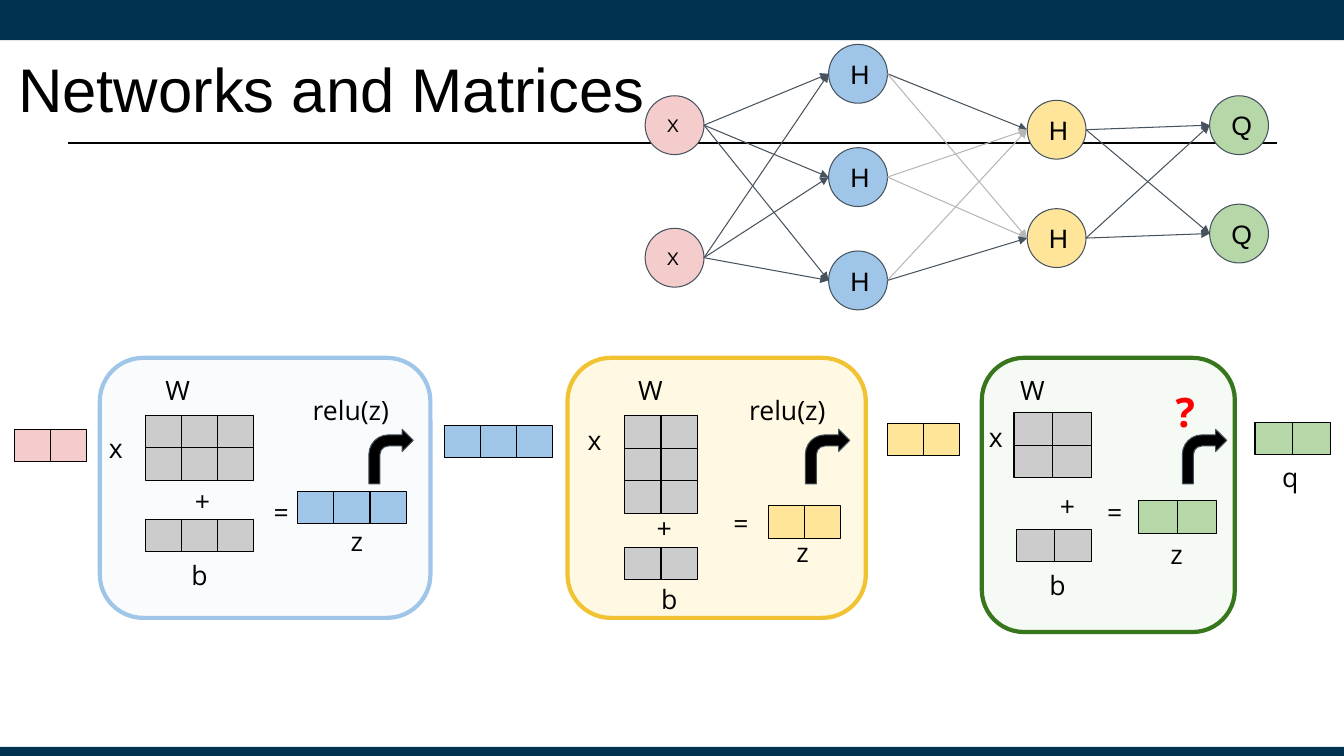
from itertools import product

from lxml import etree
from pptx import Presentation
from pptx import util as u
from pptx.dml.color import RGBColor
from pptx.enum import shapes, text
from pptx.oxml.ns import qn

NAVY = RGBColor(0x00, 0x32, 0x52)
BLACK = RGBColor(0x00, 0x00, 0x00)
RED = RGBColor(0xFF, 0x00, 0x00)
SLATE = RGBColor(0x46, 0x53, 0x5E)
SILVER = RGBColor(0xB7, 0xB7, 0xB7)
GRAY = RGBColor(0xCC, 0xCC, 0xCC)
PINK = RGBColor(0xF4, 0xCC, 0xCC)
BLUE = RGBColor(0x9F, 0xC5, 0xE8)
PALE_BLUE = RGBColor(0xCF, 0xE2, 0xF3)
YELLOW = RGBColor(0xFF, 0xE5, 0x99)
AMBER = RGBColor(0xFF, 0xD9, 0x66)
GOLD = RGBColor(0xF1, 0xC2, 0x32)
GREEN = RGBColor(0xB6, 0xD7, 0xA8)
DARK_GREEN = RGBColor(0x38, 0x76, 0x1D)

COLUMNS, ROWS = 133.33, 75
GRID = u.Inches(0.1)
NODE = 5.84
CELL_WIDTH, CELL_HEIGHT = 3.58, 3.23
INSET = 0.13


def write_text(frame, content, *, size=19, font="Open Sans", color=BLACK, bold=False,
               align=text.PP_ALIGN.LEFT, anchor=text.MSO_ANCHOR.TOP, inset=(INSET, INSET)):
    frame.word_wrap = True
    frame.auto_size = text.MSO_AUTO_SIZE.NONE
    frame.vertical_anchor = anchor
    frame.margin_left = frame.margin_right = u.Inches(inset[0])
    frame.margin_top = frame.margin_bottom = u.Inches(inset[1])
    paragraph = frame.paragraphs[0]
    paragraph.text = content
    paragraph.alignment = align
    paragraph.font.size = u.Pt(size)
    paragraph.font.name = font
    paragraph.font.bold = bold
    paragraph.font.color.rgb = color


class Board:
    def __init__(self, slide):
        self.slide = slide

    def place(self, *lengths):
        return [round(length * GRID) for length in lengths]

    def title(self, content, *box):
        shape = self.slide.shapes.title
        shape.left, shape.top, shape.width, shape.height = self.place(*box)
        write_text(shape.text_frame, content, size=44, font="Arial",
                   anchor=text.MSO_ANCHOR.MIDDLE, inset=(0.1, 0.05))

    def shape(self, kind, *box, fill, line=None, weight=0.75, opacity=None):
        shape = self.slide.shapes.add_shape(kind, *self.place(*box))
        shape.shadow.inherit = False
        shape.fill.solid()
        shape.fill.fore_color.rgb = fill
        if opacity is not None:
            color = shape.fill._xPr.find(f".//{qn('a:srgbClr')}")
            etree.SubElement(color, qn("a:alpha"), val=str(opacity * 1000))
        if line is None:
            shape.line.fill.background()
        else:
            shape.line.color.rgb = line
            shape.line.width = u.Pt(weight)
        return shape

    def line(self, *ends, color, weight=0.75, arrow=False):
        connector = self.slide.shapes.add_connector(
            shapes.MSO_CONNECTOR.STRAIGHT, *self.place(*ends))
        connector.line.color.rgb = color
        connector.line.width = u.Pt(weight)
        if arrow:
            etree.SubElement(connector.line._get_or_add_ln(), qn("a:tailEnd"), type="triangle")
        etree.SubElement(connector._element.spPr, qn("a:effectLst"))

    def label(self, content, left, top, width=10, height=2.3, **style):
        box = self.slide.shapes.add_textbox(*self.place(left, top, width, height))
        write_text(box.text_frame, content, **style)

    def symbol(self, content, left, top):
        self.label(content, left, top, align=text.PP_ALIGN.CENTER,
                   anchor=text.MSO_ANCHOR.MIDDLE)

    def matrix(self, left, top, columns, rows, fill, width=CELL_WIDTH):
        for row, column in product(range(rows), range(columns)):
            self.shape(shapes.MSO_SHAPE.RECTANGLE, left + column * width,
                       top + row * CELL_HEIGHT, width, CELL_HEIGHT, fill=fill, line=BLACK)

    def node(self, content, left, top, fill, size):
        shape = self.shape(shapes.MSO_SHAPE.FLOWCHART_CONNECTOR, left, top, NODE, NODE,
                           fill=fill, line=SLATE)
        write_text(shape.text_frame, content, size=size, font="Arial",
                   anchor=text.MSO_ANCHOR.MIDDLE)

    def panel(self, *box, fill, line, opacity):
        self.shape(shapes.MSO_SHAPE.ROUNDED_RECTANGLE, *box, fill=fill, line=line,
                   weight=3, opacity=opacity)

    def bent_arrow(self, left, top):
        arrow = self.shape(shapes.MSO_SHAPE.BENT_ARROW, left, top, 4.4, 5.4,
                           fill=BLACK, line=SLATE)
        arrow.adjustments[3] = 0.44


PANELS = [
    ((9.9, 35.5, 32.8, 25.8), PALE_BLUE, BLUE, 11),
    ((56.3, 35.5, 29.6, 25.8), AMBER, GOLD, 18),
    ((97.4, 35.5, 25.1, 27.2), GREEN, DARK_GREEN, 12),
]
MATRICES = [
    (1.4, 42.6, 2, 1, PINK),
    (44.1, 42.2, 3, 1, BLUE),
    (88.05, 42, 2, 1, YELLOW),
    (124.5, 41.9, 2, 1, GREEN, 3.75),
    (14.45, 41.2, 3, 2, GRAY),
    (14.45, 51.5, 3, 1, GRAY),
    (29.55, 48.75, 3, 1, BLUE),
    (62, 41.25, 2, 3, GRAY),
    (62, 54.3, 2, 1, GRAY),
    (76.2, 50.2, 2, 1, YELLOW),
    (100.6, 40.95, 2, 2, GRAY, 3.86),
    (100.85, 52.5, 2, 1, GRAY, 3.72),
    (112.95, 49.7, 2, 1, GREEN, 3.86),
]
LABELS = [
    ("W", 15.1, 35.9), ("W", 62, 35.9), ("W", 99.9, 35.9),
    ("z", 33.5, 50.9), ("z", 77.7, 52), ("z", 114.8, 52.2), ("q", 125.9, 44.6),
]
SYMBOLS = [
    ("x", 6.5, 43.3), ("+", 15.1, 48.5), ("=", 22.9, 49.6), ("b", 14.8, 55.9),
    ("x", 54, 42.5), ("+", 60.9, 51.2), ("=", 68.5, 50.7), ("b", 61.4, 58.3),
    ("x", 93.8, 42.2), ("+", 100.9, 49), ("=", 105.6, 49.6), ("b", 99.9, 56.9),
]
ACTIVATIONS = [
    ("relu(z)", 27.9, 37.8, 36.6, {}),
    ("relu(z)", 71.2, 37.8, 79.9, {}),
    ("?", 110.7, 37.1, 117.3, {"size": 29, "color": RED, "bold": True}),
]
LAYERS = [
    ("X", 64, (9.5, 22.65), PINK, 13),
    ("H", 82.2, (4.4, 14.65, 24.9), BLUE, 19),
    ("H", 101.9, (9.95, 20.7), YELLOW, 19),
    ("Q", 120, (9.5, 20.25), GREEN, 19),
]
FAINT_EDGES = {(1, 0, 1), (1, 1, 0), (1, 1, 1), (1, 2, 0)}


def draw_network(board):
    for content, left, tops, fill, size in LAYERS:
        for top in tops:
            board.node(content, left, top, fill, size)
    for layer, (source, target) in enumerate(zip(LAYERS, LAYERS[1:])):
        for (start, begin), (stop, end) in product(enumerate(source[2]), enumerate(target[2])):
            color = SILVER if (layer, start, stop) in FAINT_EDGES else SLATE
            board.line(source[1] + NODE, begin + NODE / 2, target[1], end + NODE / 2,
                       color=color, arrow=True)


def draw_matrices(board):
    for box, fill, line, opacity in PANELS:
        board.panel(*box, fill=fill, line=line, opacity=opacity)
    for matrix in MATRICES:
        board.matrix(*matrix)
    for label in LABELS:
        board.label(*label)
    for symbol in SYMBOLS:
        board.symbol(*symbol)
    for content, left, top, arrow_left, style in ACTIVATIONS:
        board.label(content, left, top, 13.8, 5.6, align=text.PP_ALIGN.CENTER, **style)
        board.bent_arrow(arrow_left, 42.6)


def main():
    presentation = Presentation()
    presentation.slide_width = round(COLUMNS * GRID)
    presentation.slide_height = ROWS * GRID
    board = Board(presentation.slides.add_slide(presentation.slide_layouts[5]))
    board.shape(shapes.MSO_SHAPE.RECTANGLE, 0, 0, COLUMNS, 4, fill=NAVY)
    board.shape(shapes.MSO_SHAPE.RECTANGLE, 0, 74.1, COLUMNS, 0.9, fill=NAVY)
    board.line(6.7, 14.2, 126.7, 14.2, color=BLACK, weight=1.25)
    board.title("Networks and Matrices", 0.8, 2.5, 120, 12.5)
    draw_matrices(board)
    draw_network(board)
    presentation.save("out.pptx")


if __name__ == "__main__":
    main()
